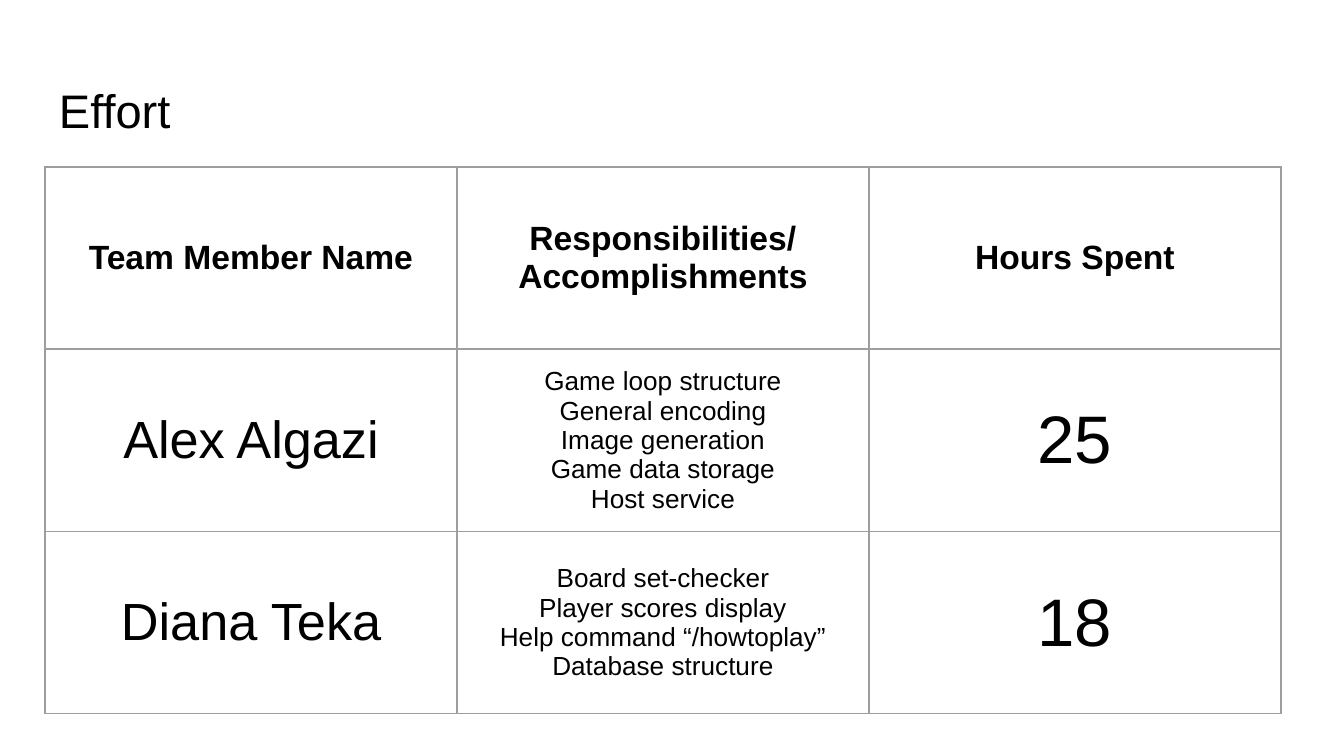
from dataclasses import dataclass

from lxml.etree import SubElement
from pptx import Presentation
from pptx.dml.color import RGBColor
from pptx.enum.text import MSO_ANCHOR, PP_ALIGN
from pptx.oxml.ns import qn
from pptx.util import Pt

SCALE = 914400 / 134.4


@dataclass(frozen=True)
class Theme:
    font: str = "Arial"
    ink: str = "000000"
    paper: str = "FFFFFF"
    rule: str = "9E9E9E"
    rule_width: float = 0.75
    title: float = 25.2
    head: float = 18
    name: float = 28
    task: float = 14
    hours: float = 36


THEME = Theme()
PAD = 13

# A vertical tab is a line break inside a paragraph.
HEADS = ["Team Member Name", "Responsibilities/\vAccomplishments", "Hours Spent"]
MEMBERS = [
    ["Alex Algazi",
     "Game loop structure\nGeneral encoding\nImage generation\n"
     "Game data storage\nHost service",
     "25"],
    ["Diana Teka",
     "Board set-checker\nPlayer scores display\n"
     "Help command “/howtoplay”\nDatabase structure",
     "18"],
]


def px(count):
    return round(count * SCALE)


def write(frame, text, *, size, bold=False, align=PP_ALIGN.LEFT):
    """Fill a text frame, one paragraph for each line of text."""
    frame.word_wrap = True
    for i, line in enumerate(text.split("\n")):
        para = frame.add_paragraph() if i else frame.paragraphs[0]
        para.text = line
        para.alignment = align
        for run in para.runs:
            run.font.name = THEME.font
            run.font.size = Pt(size)
            run.font.bold = bold
            run.font.color.rgb = RGBColor.from_string(THEME.ink)


def pad(item):
    item.margin_left = item.margin_right = px(PAD)
    item.margin_top = item.margin_bottom = px(PAD)


def edge(cell):
    """Rule all four sides; the lines must come before the cell's fill."""
    props = cell._tc.get_or_add_tcPr()
    for side in ("lnL", "lnR", "lnT", "lnB"):
        line = SubElement(props, qn(f"a:{side}"), w=str(Pt(THEME.rule_width)))
        fill = SubElement(line, qn("a:solidFill"))
        SubElement(fill, qn("a:srgbClr"), val=THEME.rule)


def add_title(slide, text, left, top, width, height):
    box = slide.shapes.add_textbox(px(left), px(top), px(width), px(height))
    frame = box.text_frame
    pad(frame)
    frame.vertical_anchor = MSO_ANCHOR.BOTTOM
    write(frame, text, size=THEME.title)


def add_grid(slide, left, top, wide, high):
    """Add the effort table, with equal cells of wide by high."""
    rows = [HEADS, *MEMBERS]
    count = len(HEADS)
    table = slide.shapes.add_table(
        len(rows), count, px(left), px(top),
        px(wide * count), px(high * len(rows))).table
    table.first_row = table.horz_banding = False
    for col in table.columns:
        col.width = px(wide)
    sizes = [THEME.name, THEME.task, THEME.hours]
    for r, texts in enumerate(rows):
        table.rows[r].height = px(high)
        for c, text in enumerate(texts):
            cell = table.cell(r, c)
            edge(cell)
            cell.fill.background()
            pad(cell)
            cell.vertical_anchor = MSO_ANCHOR.MIDDLE
            write(cell.text_frame, text, size=sizes[c] if r else THEME.head,
                  bold=r == 0, align=PP_ALIGN.CENTER)


def main():
    deck = Presentation()
    deck.slide_width, deck.slide_height = px(1344), px(756)
    slide = deck.slides.add_slide(deck.slide_layouts[6])
    slide.background.fill.solid()
    slide.background.fill.fore_color.rgb = RGBColor.from_string(THEME.paper)
    add_title(slide, "Effort", 46, 66, 1252, 85)
    add_grid(slide, 45, 167, 412, 182)
    deck.save("out.pptx")


if __name__ == "__main__":
    main()
